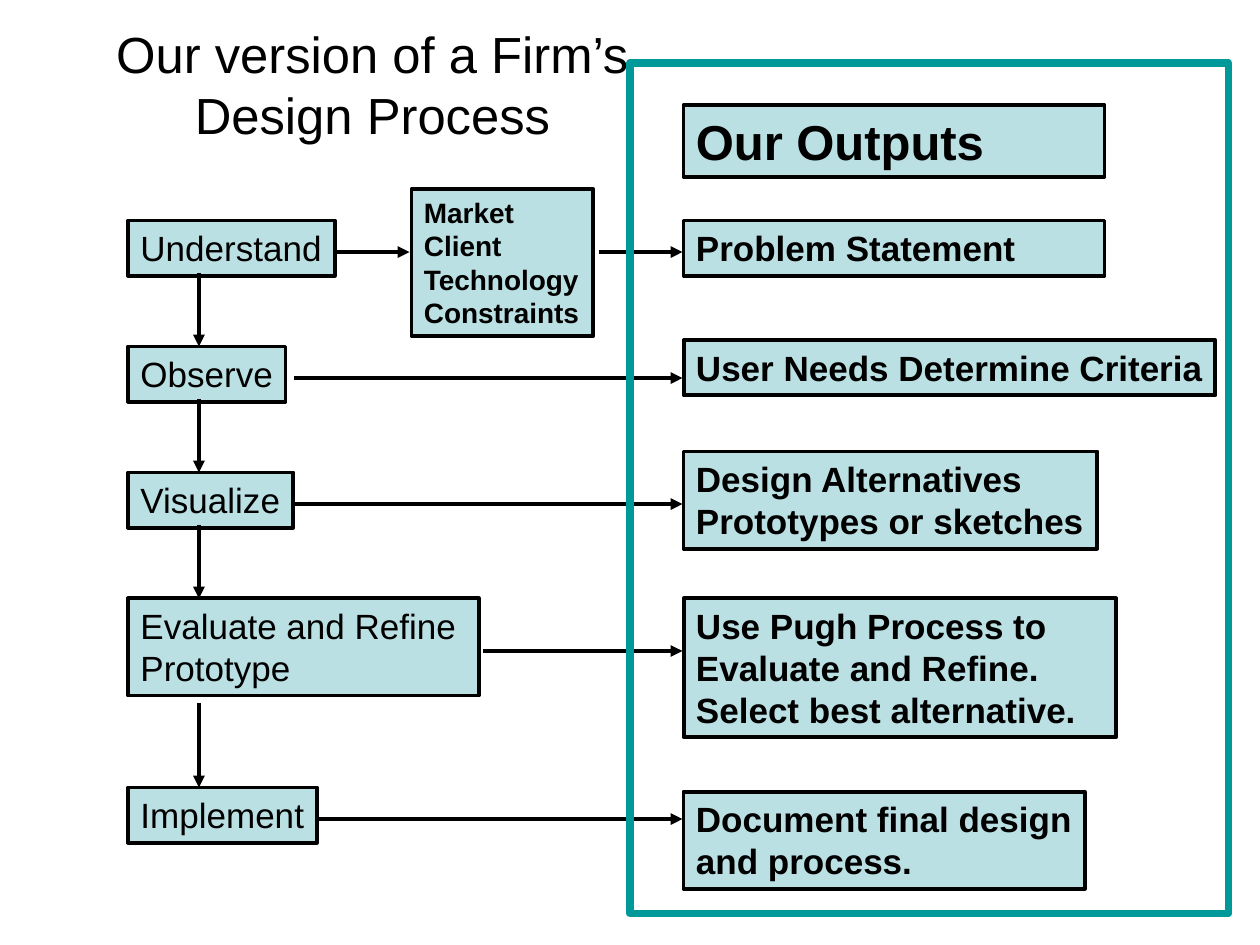
from collections import namedtuple
from dataclasses import dataclass

from lxml import etree
from pptx import Presentation
from pptx.dml.color import RGBColor
from pptx.enum.shapes import MSO_CONNECTOR, MSO_SHAPE
from pptx.enum.text import MSO_ANCHOR, PP_ALIGN
from pptx.oxml.ns import qn
from pptx.util import Inches, Pt

RECT = MSO_SHAPE.RECTANGLE
STRAIGHT = MSO_CONNECTOR.STRAIGHT
LEFT, CENTER = PP_ALIGN.LEFT, PP_ALIGN.CENTER
TOP, MIDDLE = MSO_ANCHOR.TOP, MSO_ANCHOR.MIDDLE

COLS, ROWS = 120, 90
CELL = Inches(10) / COLS
Box = namedtuple("Box", "x y w h")  # columns and rows of the grid


@dataclass(frozen=True)
class Theme:
    font: str = "Arial"
    ink: RGBColor = RGBColor(0, 0, 0)
    fill: RGBColor = RGBColor(0xBB, 0xE0, 0xE3)
    frame: RGBColor = RGBColor(0x00, 0x99, 0x99)
    title: float = 29
    head: float = 28
    body: float = 20
    small: float = 16
    line: float = 2.25
    border: float = 4.5


THEME = Theme()

# row offset, width, height, lines of text, gap before the arrow down
STEPS = [
    (0, 19.7, 5.25, ["Understand"], -0.25),
    (12, 15, 5.25, ["Observe"], -0.25),
    (24, 15.75, 5.25, ["Visualize"], -0.25),
    (36, 33.4, 9.25, ["Evaluate and Refine", "Prototype"], 0.75),
    (54, 18, 5.25, ["Implement"], None),
]
INPUTS = ["Market", "Client", "Technology", "Constraints"]
# row offset, width, height, lines of text, wrap
OUTPUTS = [
    (15, 40.1, 5.25, ["Problem Statement"], True),
    (26.4, 50.65, 5.25, ["User Needs Determine Criteria"], False),
    (37, 39.4, 9.25, ["Design Alternatives", "Prototypes or sketches"], False),
    (51, 41.2, 13.2,
     ["Use Pugh Process to Evaluate and Refine. Select best alternative."], True),
    (69.4, 38.2, 9.25, ["Document final design", "and process."], False),
]
# start column, end column, row
FLOWS = [(32, 39, 24), (57, 65, 24), (28, 65, 36), (28, 65, 48),
         (46, 65, 62), (30, 65, 78)]


def place(box):
    """Turn grid units into slide lengths."""
    return [round(n * CELL) for n in box]


def write(shape, lines, size, bold=False, wrap=False, align=LEFT, anchor=TOP):
    frame = shape.text_frame
    frame.word_wrap = wrap
    frame.vertical_anchor = anchor
    for i, line in enumerate(lines):
        para = frame.add_paragraph() if i else frame.paragraphs[0]
        para.alignment = align
        run = para.add_run()
        run.text = line
        run.font.name = THEME.font
        run.font.size = Pt(size)
        run.font.bold = bold
        run.font.color.rgb = THEME.ink


def add_rect(slide, box, color, width):
    rect = slide.shapes.add_shape(RECT, *place(box))
    rect.shadow.inherit = False
    rect.line.color.rgb = color
    rect.line.width = Pt(width)
    return rect


def add_card(slide, box, lines, size=THEME.body, bold=True, wrap=False):
    card = add_rect(slide, box, THEME.ink, THEME.line)
    card.fill.solid()
    card.fill.fore_color.rgb = THEME.fill
    write(card, lines, size, bold, wrap)


def add_arrow(slide, x1, y1, x2, y2):
    arrow = slide.shapes.add_connector(STRAIGHT, *place((x1, y1, x2, y2)))
    arrow.line.color.rgb = THEME.ink
    arrow.line.width = Pt(THEME.line)
    etree.SubElement(arrow.line._get_or_add_ln(), qn("a:tailEnd"), type="triangle")
    etree.SubElement(arrow._element.spPr, qn("a:effectLst"))


def add_title(slide, box):
    title = slide.shapes.add_textbox(*place(box))
    write(title, ["Our version of a Firm’s Design Process"], THEME.title,
          wrap=True, align=CENTER, anchor=MIDDLE)


def add_steps(slide, box):
    """Stack the steps, each joined to the next by an arrow."""
    for i, (row, w, h, lines, gap) in enumerate(STEPS):
        top = box.y + row
        add_card(slide, Box(box.x, top, w, h), lines, bold=False)
        if gap is not None:
            x = box.x + 6.75
            add_arrow(slide, x, top + h + gap, x, box.y + STEPS[i + 1][0])


def add_flows(slide):
    for start, end, row in FLOWS:
        add_arrow(slide, start, row, end, row)


def add_outputs(slide, box):
    """Fill the panel with its cards, then frame it."""
    x = box.x + 5.1
    add_card(slide, Box(x, box.y + 4, 40.1, 6.85), ["Our Outputs"],
             THEME.head, wrap=True)
    for row, w, h, lines, wrap in OUTPUTS:
        add_card(slide, Box(x, box.y + row, w, h), lines, wrap=wrap)
    add_rect(slide, box, THEME.frame, THEME.border).fill.background()


def main():
    deck = Presentation()
    deck.slide_width, deck.slide_height = place((COLS, ROWS))
    slide = deck.slides.add_slide(deck.slide_layouts[6])
    add_title(slide, Box(9, 3, 53, 10))
    add_steps(slide, Box(12.2, 21, 34, 60))
    add_card(slide, Box(39.2, 18, 17.3, 14), INPUTS, THEME.small)
    add_flows(slide)
    add_outputs(slide, Box(60, 6, 57, 81))
    deck.save("out.pptx")


if __name__ == "__main__":
    main()
